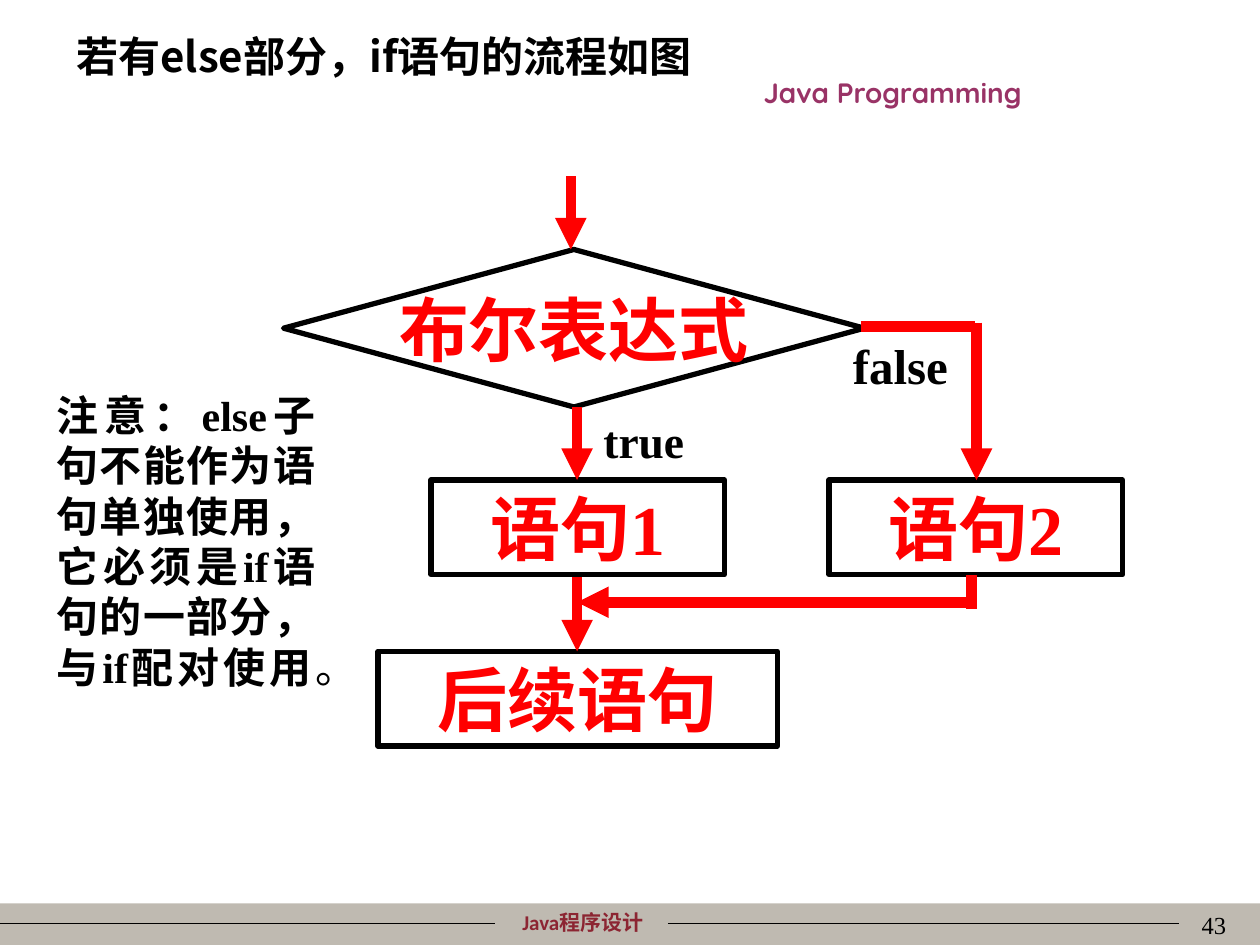
from lxml.etree import SubElement
from pptx import Presentation
from pptx.dml.color import RGBColor
from pptx.enum.shapes import MSO_CONNECTOR, MSO_SHAPE
from pptx.enum.text import MSO_ANCHOR, PP_ALIGN
from pptx.oxml.ns import qn
from pptx.util import Inches, Pt

BLACK, RED = "000000", "FF0000"
SERIF, CHINESE = "Times New Roman", "Noto Sans CJK SC"

FOOTER_BAR = (0, 7.17, 10, 0.33)
FOOTER_RULES = [((0, 7.33), (3.93, 7.33)), ((5.3, 7.33), (9.36, 7.33))]

NOTE = "注意：else子句不能作为语句单独使用，它必须是if语句的一部分，与if配对使用"
TEXTS = [
    ((3.62, 7.17, 2.01, 0.3), [("Java程序设计", True)], PP_ALIGN.CENTER, "Calibri", 12, "8C2532", {}),
    ((5.08, 0.55, 4.01, 0.37), [("Java Programming", True)], PP_ALIGN.CENTER, "Quicksand", 16, "993366", {}),
    ((7.75, 7.17, 2.08, 0.5), [("43", False)], PP_ALIGN.RIGHT, SERIF, 14, BLACK, {}),
    ((0.51, 0.19, 8.5, 0.51), [("若有else部分，if语句的流程如图", True)], PP_ALIGN.LEFT, CHINESE, 24, BLACK, {}),
    ((4.69, 3.28, 1.41, 0.55), [("true", True)], PP_ALIGN.LEFT, SERIF, 26, BLACK, {"line_spacing": 0.9}),
    ((6.67, 2.67, 1.33, 0.5), [("false", True)], PP_ALIGN.LEFT, SERIF, 28, BLACK, {"line_spacing": 0.9}),
    ((0.35, 3.04, 2.25, 2.5), [(NOTE, True), ("。", False)], PP_ALIGN.JUSTIFY, SERIF, 24, BLACK, {}),
]

PROCESS, DECISION = MSO_SHAPE.FLOWCHART_PROCESS, MSO_SHAPE.FLOWCHART_DECISION
NODES = [
    (PROCESS, (3.42, 3.81, 2.33, 0.75), "语句1"),
    (DECISION, (2.25, 1.98, 4.61, 1.25), "布尔表达式"),
    (PROCESS, (3, 5.17, 3.17, 0.75), "后续语句"),
    (PROCESS, (6.58, 3.81, 2.33, 0.75), "语句2"),
]

FLOWS = [
    ((4.58, 3.23), (4.58, 3.81), "tailEnd"),
    ((4.58, 4.58), (4.58, 5.17), "tailEnd"),
    ((4.58, 4.78), (7.75, 4.78), "headEnd"),
    ((7.71, 4.83), (7.71, 4.56), None),
    ((6.83, 2.59), (7.74, 2.59), None),
    ((4.53, 1.4), (4.53, 1.98), "tailEnd"),
    ((7.75, 2.56), (7.75, 3.81), "tailEnd"),
]


def color(value):
    return RGBColor.from_string(value)


def set_all(target, values):
    for name, value in values.items():
        setattr(target, name, value)


def write(shape, pieces, align, font, size, ink, layout):
    para = shape.text_frame.paragraphs[0]
    set_all(para, {"alignment": align, **layout})
    for text, bold in pieces:
        span = para.add_run()
        span.text = text
        set_all(span.font, {"name": font, "size": Pt(size), "bold": bold})
        span.font.color.rgb = color(ink)
        SubElement(span.font._element, qn("a:ea")).set("typeface", CHINESE)


def add_text(page, place, *style):
    box = page.shapes.add_textbox(*map(Inches, place))
    box.text_frame.word_wrap = True
    write(box, *style)


def add_node(page, kind, place, label):
    node = page.shapes.add_shape(kind, *map(Inches, place))
    node.shadow.inherit = False
    node.fill.background()
    node.line.color.rgb = color(BLACK)
    node.line.width = Pt(3)
    set_all(node.text_frame, {"word_wrap": False, "vertical_anchor": MSO_ANCHOR.MIDDLE})
    write(node, [(label, True)], PP_ALIGN.CENTER, SERIF, 40, RED, {})


def add_line(page, start, end, ink, width, arrow=None):
    line = page.shapes.add_connector(MSO_CONNECTOR.STRAIGHT, *map(Inches, start + end))
    line.line.color.rgb = color(ink)
    line.line.width = Pt(width)
    if arrow:
        SubElement(line.line._get_or_add_ln(), qn(f"a:{arrow}")).set("type", "triangle")
    SubElement(line._element.spPr, qn("a:effectLst"))


def main():
    deck = Presentation()
    deck.slide_width, deck.slide_height = Inches(10), Inches(7.5)
    page = deck.slides.add_slide(deck.slide_layouts[6])

    bar = page.shapes.add_shape(MSO_SHAPE.RECTANGLE, *map(Inches, FOOTER_BAR))
    bar.shadow.inherit = False
    bar.fill.solid()
    bar.fill.fore_color.rgb = color("BFBAB1")
    bar.line.fill.background()

    for start, end in FOOTER_RULES:
        add_line(page, start, end, BLACK, 0.75)
    for text in TEXTS:
        add_text(page, *text)
    for node in NODES:
        add_node(page, *node)
    for start, end, arrow in FLOWS:
        add_line(page, start, end, RED, 6, arrow)

    deck.save("out.pptx")


if __name__ == "__main__":
    main()
